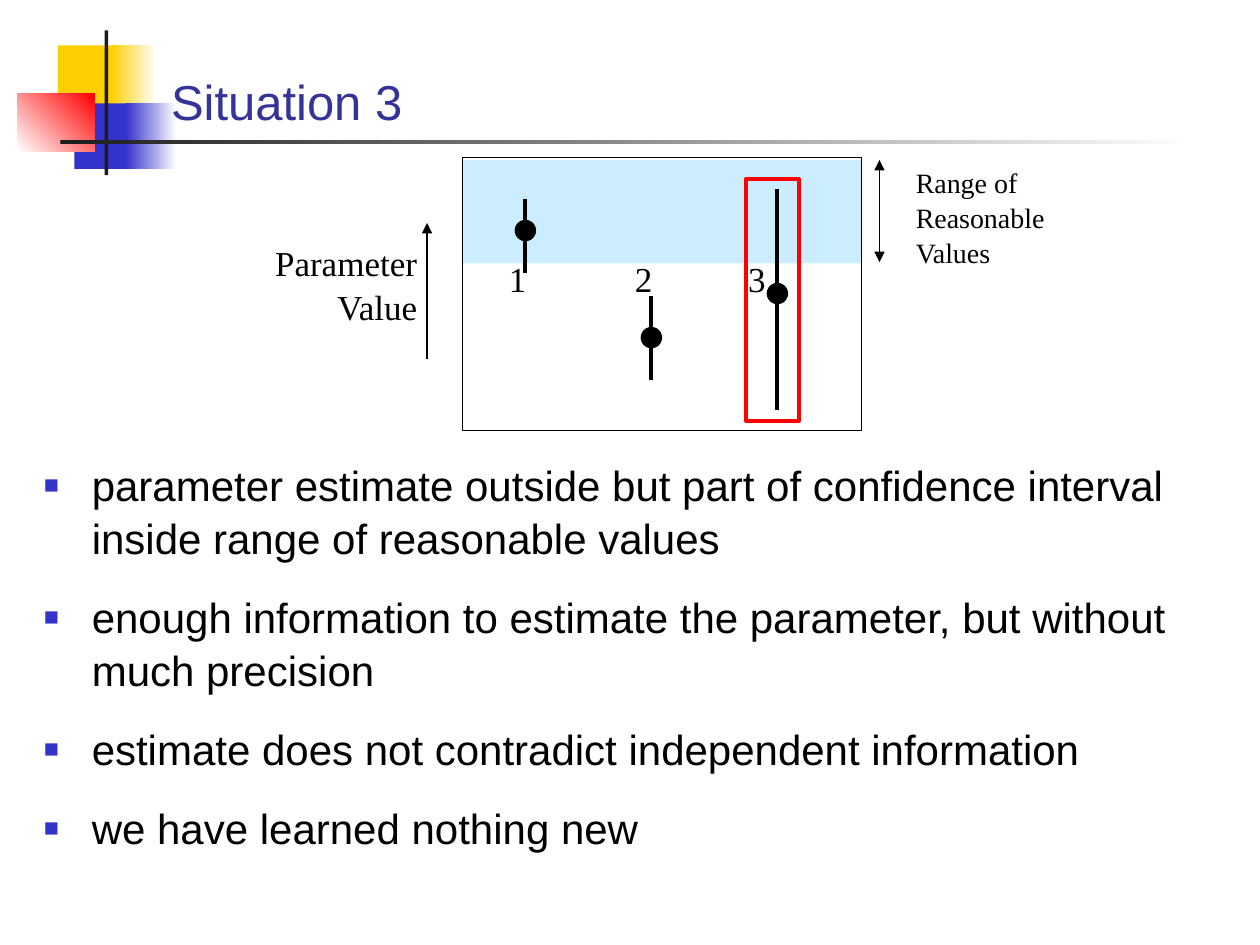
from pptx import Presentation
from pptx.dml.color import RGBColor
from pptx.enum.shapes import MSO_CONNECTOR, MSO_SHAPE as SHAPE
from pptx.enum.text import MSO_ANCHOR as ANCHOR, MSO_AUTO_SIZE as AUTO, PP_ALIGN as ALIGN
from pptx.oxml.ns import qn
from pptx.util import Inches, Pt
from lxml.etree import SubElement

BLACK, WHITE, INK = "000000", "FFFFFF", "1C1C1C"
YELLOW, BLUE, RED = "FFCF01", "3333CC", "FF0000"
TITLE_BLUE, BAND_BLUE = "333399", "CCECFF"
SANS, SERIF = "Arial", "Times New Roman"


def rgb(value):
    return RGBColor.from_string(value)


def add_xml(parent, tag, **attributes):
    return SubElement(parent, qn(tag), **attributes)


def add_bullet(paragraph, color, indent=0.38):
    """Give a paragraph a small square bullet with a hanging indent."""
    props = paragraph._p.get_or_add_pPr()
    props.set("marL", str(Inches(indent)))
    props.set("indent", str(-Inches(indent)))
    add_xml(add_xml(props, "a:buClr"), "a:srgbClr", val=color)
    add_xml(props, "a:buSzPct", val="60000")
    add_xml(props, "a:buFont", typeface=SANS)
    add_xml(props, "a:buChar", char="■")


class SlideBuilder:
    line_spacing = 1.05

    def __init__(self, slide):
        self.shapes = slide.shapes

    def shape(self, left, top, width, height, kind=SHAPE.RECTANGLE,
              fill=None, fade=None, angle=0, line=None, weight=0.75):
        """Add a preset shape; fade is a pair of gradient colours."""
        item = self.shapes.add_shape(
            kind, Inches(left), Inches(top), Inches(width), Inches(height))
        item.shadow.inherit = False
        if fade:
            item.fill.gradient()
            item.fill.gradient_angle = angle
            for stop, color in zip(item.fill.gradient_stops, fade):
                stop.color.rgb = rgb(color)
        elif fill:
            item.fill.solid()
            item.fill.fore_color.rgb = rgb(fill)
        else:
            item.fill.background()
        if line:
            item.line.color.rgb = rgb(line)
            item.line.width = Pt(weight)
        else:
            item.line.fill.background()

    def line(self, x1, y1, x2, y2, weight=0.75, head=False, tail=False):
        item = self.shapes.add_connector(
            MSO_CONNECTOR.STRAIGHT, Inches(x1), Inches(y1), Inches(x2), Inches(y2))
        item.line.color.rgb = rgb(BLACK)
        item.line.width = Pt(weight)
        for tag, wanted in (("a:headEnd", head), ("a:tailEnd", tail)):
            if wanted:
                add_xml(item.line._get_or_add_ln(), tag, type="triangle")
        add_xml(item._element.spPr, "a:effectLst")

    def text(self, lines, left, top, width, height, size=20, font=SERIF, color=BLACK,
             align=ALIGN.LEFT, anchor=ANCHOR.TOP, wrap=False, before=0, bullet=None):
        box = self.shapes.add_textbox(
            Inches(left), Inches(top), Inches(width), Inches(height))
        frame = box.text_frame
        frame.word_wrap = wrap
        frame.auto_size = AUTO.NONE if wrap else AUTO.SHAPE_TO_FIT_TEXT
        frame.vertical_anchor = anchor
        for index, line in enumerate(lines):
            paragraph = frame.paragraphs[0] if index == 0 else frame.add_paragraph()
            paragraph.alignment = align
            paragraph.line_spacing = self.line_spacing
            paragraph.space_before = Pt(before)
            if bullet:
                add_bullet(paragraph, bullet)
            run = paragraph.add_run()
            run.text = line
            run.font.size = Pt(size)
            run.font.name = font
            run.font.color.rgb = rgb(color)


def add_decoration(builder):
    builder.shape(0.46, 0.36, 0.48, 0.52, fill=YELLOW)
    builder.shape(0.88, 0.36, 0.36, 0.52, fade=(YELLOW, WHITE))
    builder.shape(0.59, 0.82, 0.46, 0.52, fill=BLUE)
    builder.shape(1, 0.82, 0.4, 0.52, fade=(BLUE, WHITE))
    builder.shape(0.14, 0.74, 0.61, 0.46, fade=(WHITE, RED), angle=45)
    builder.shape(0.83, 0.24, 0.03, 1.15, fill=INK)
    builder.shape(0.48, 1.11, 9, 0.03, fade=(INK, WHITE))


def add_interval_diagram(builder):
    builder.shape(3.67, 1.27, 3.17, 0.82, fill=BAND_BLUE)
    dot = 0.17
    # centre x, estimate, interval top, interval bottom, label left
    intervals = [(4.17, 1.83, 1.58, 2.17, 3.94),
                 (5.17, 2.68, 2.35, 3.02, 4.94),
                 (6.17, 2.33, 1.5, 3.25, 5.84)]
    for number, (x, estimate, upper, lower, label) in enumerate(intervals, 1):
        builder.shape(x - dot / 2, estimate - dot / 2, dot, dot, SHAPE.OVAL, fill=BLACK)
        builder.line(x, upper, x, lower, weight=2.25)
        builder.text([str(number)], label, 1.98, 0.34, 0.44)

    builder.text(["Parameter", "Value"], 2.08, 1.85, 1.33, 0.77, align=ALIGN.RIGHT)
    builder.line(3.39, 2.85, 3.39, 1.77, tail=True)
    builder.text(["Range of", "Reasonable", "Values"], 7.17, 1.25, 1.22, 0.9, size=16)
    builder.line(6.98, 1.27, 6.98, 2.08, head=True, tail=True)
    builder.shape(3.67, 1.25, 3.17, 2.17, line=BLACK)
    builder.shape(5.92, 1.42, 0.42, 1.92, line=RED, weight=2.25)


def main():
    deck = Presentation()
    deck.slide_width, deck.slide_height = Inches(10), Inches(7.5)
    builder = SlideBuilder(deck.slides.add_slide(deck.slide_layouts[6]))

    add_decoration(builder)
    conclusions = [
        "parameter estimate outside but part of confidence interval "
        "inside range of reasonable values",
        "enough information to estimate the parameter, but without much precision",
        "estimate does not contradict independent information",
        "we have learned nothing new",
    ]
    builder.text(conclusions, 0.25, 3.58, 9.75, 3.92, size=24, font=SANS,
                 wrap=True, before=15, bullet=BLUE)
    builder.text(["Situation 3"], 1.26, 0.33, 8.74, 0.75, size=28, font=SANS,
                 color=TITLE_BLUE, anchor=ANCHOR.BOTTOM, wrap=True)
    add_interval_diagram(builder)
    deck.save("out.pptx")


if __name__ == "__main__":
    main()
